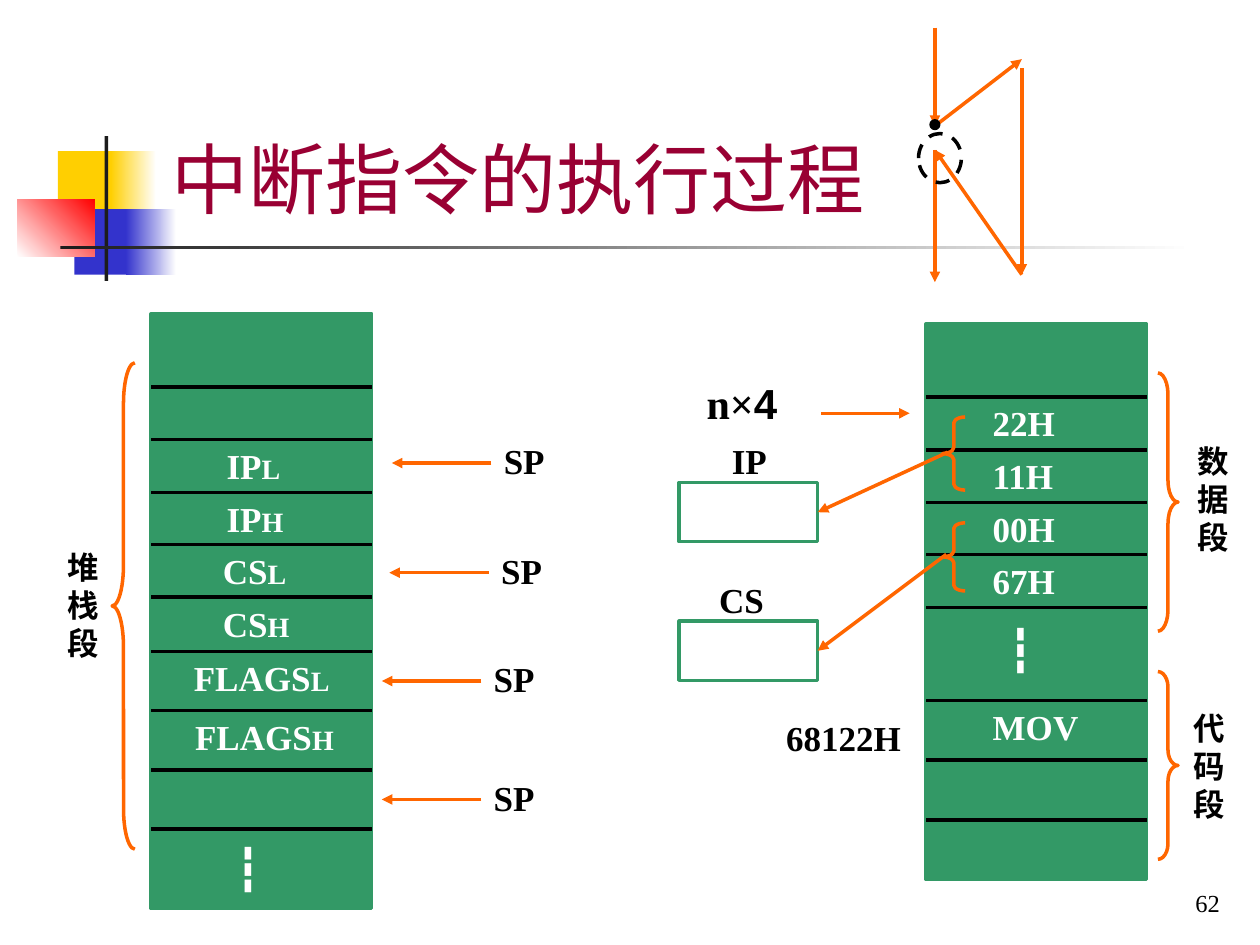
from lxml import etree
from pptx import Presentation
from pptx.dml.color import RGBColor
from pptx.enum import dml, shapes, text
from pptx.oxml import ns
from pptx.util import Inches, Pt

COLORS = {
    "white": "FFFFFF", "black": "000000", "green": "339966", "orange": "FF6600",
    "title": "990033", "yellow": "FFCF01", "blue": "3333CC", "red": "FF0000", "dark": "1C1C1C",
}
SERIF = "Times New Roman"
SHAPE = shapes.MSO_SHAPE
ALIGN = text.PP_ALIGN

DECORATION = [
    ((0.46, 1.2, 0.48, 0.52), ["yellow"], 0),
    ((0.88, 1.2, 0.36, 0.52), ["yellow", "white"], 0),
    ((0.59, 1.66, 0.46, 0.52), ["blue"], 0),
    ((1, 1.66, 0.4, 0.52), ["blue", "white"], 0),
    ((0.14, 1.58, 0.61, 0.46), ["white", "red"], 45),
    ((0.83, 1.08, 0.03, 1.15), ["dark"], 0),
    ((0.48, 1.95, 9, 0.03), ["dark", "white"], 0),
]
MEMORY_WIDTH = 1.75
MEMORIES = [
    {
        "at": (7.35, 2.57), "height": 4.41,
        "rows": [3.15, 3.57, 3.99, 4.4, 4.82, 5.56, 6.03, 6.51],
        "cells": [(7.78, 0, "22H", ""), (7.78, 1, "11H", ""), (7.78, 2, "00H", ""),
                  (7.78, 3, "67H", ""), (7.78, 5, "MOV", "")],
        "dots": (7.9, 4.9),
    },
    {
        "at": (1.2, 2.49), "height": 4.72,
        "rows": [3.07, 3.49, 3.91, 4.32, 4.74, 5.17, 5.64, 6.11, 6.58],
        "cells": [(1.7, 1, "IP", "L"), (1.7, 2, "IP", "H"), (1.67, 3, "CS", "L"),
                  (1.67, 4, "CS", "H"), (1.44, 5, "FLAGS", "L"), (1.45, 6, "FLAGS", "H")],
        "dots": (1.77, 6.64),
    },
]
BRACES = [
    (SHAPE.LEFT_BRACE, (7.48, 3.31, 0.18, 0.58)),
    (SHAPE.LEFT_BRACE, (7.48, 4.15, 0.18, 0.54)),
    (SHAPE.RIGHT_BRACE, (9.19, 5.33, 0.16, 1.49)),
    (SHAPE.RIGHT_BRACE, (9.19, 2.96, 0.16, 2.05)),
    (SHAPE.LEFT_BRACE, (0.89, 2.88, 0.18, 3.86)),
]
SEGMENTS = [(9.35, 5.58, "代码段"), (9.38, 3.46, "数据段"), (0.41, 4.3, "堆栈段")]
REGISTERS = [
    ("IP", (5.71, 3.44, 0.55, 0.44), 3.83, (7.52, 3.59)),
    ("CS", (5.61, 4.54, 0.63, 0.44), 4.93, (7.51, 4.4)),
]
STACK_POINTERS = [(3.9, 3.44), (3.88, 4.31), (3.82, 5.17), (3.82, 6.11)]
FLOW = [
    ((7.42, 0.22), (7.42, 1)),
    ((7.42, 1), (8.11, 0.47)),
    ((8.11, 0.54), (8.11, 2.18)),
    ((8.11, 2.18), (7.42, 1.19)),
    ((7.42, 1.19), (7.42, 2.24)),
]

deck = Presentation()
deck.slide_width, deck.slide_height = Inches(10), Inches(7.5)
page = deck.slides.add_slide(deck.slide_layouts[6])


def rgb(name):
    return RGBColor.from_string(COLORS[name])


def add_shape(kind, at, fills=(), line=None, angle=0):
    shape = page.shapes.add_shape(kind, *map(Inches, at))
    shape.shadow.inherit = False
    if len(fills) == 2:
        shape.fill.gradient()
        shape.fill.gradient_angle = angle
        for stop, name in zip(shape.fill.gradient_stops, fills):
            stop.color.rgb = rgb(name)
    elif fills:
        shape.fill.solid()
        shape.fill.fore_color.rgb = rgb(fills[0])
    else:
        shape.fill.background()
    if line:
        shape.line.color.rgb = rgb(line)
        shape.line.width = Pt(2)
    else:
        shape.line.fill.background()
    return shape


def add_line(start, end, color="black", arrow=False):
    line = page.shapes.add_connector(shapes.MSO_CONNECTOR.STRAIGHT, *map(Inches, start + end))
    line.line.color.rgb = rgb(color)
    line.line.width = Pt(2)
    if arrow:
        etree.SubElement(line.line._ln, ns.qn("a:tailEnd"), type="triangle")
    etree.SubElement(line._element.spPr, ns.qn("a:effectLst"))
    return line


def add_text(at, parts, color="black", bold=True, align=ALIGN.LEFT, bottom=False):
    box = page.shapes.add_textbox(*map(Inches, at))
    frame = box.text_frame
    frame.word_wrap = True
    if bottom:
        frame.vertical_anchor = text.MSO_ANCHOR.BOTTOM
    else:
        frame.auto_size = text.MSO_AUTO_SIZE.SHAPE_TO_FIT_TEXT
    para = frame.paragraphs[0]
    para.alignment = align
    for words, size, font in parts:
        span = para.add_run()
        span.text = words
        span.font.size = Pt(size)
        span.font.name = font
        span.font.bold = bold
        span.font.color.rgb = rgb(color)


for at, fills, angle in DECORATION:
    add_shape(SHAPE.RECTANGLE, at, fills, angle=angle)
add_text((1.26, 0.23, 8.52, 1.6), [("中断指令的执行过程", 44, SERIF)], "title", False, bottom=True)

for memory in MEMORIES:
    left, top = memory["at"]
    add_shape(SHAPE.RECTANGLE, (left, top, MEMORY_WIDTH, memory["height"]), ["green"], "green")
    for y in memory["rows"]:
        add_line((left, y), (left + MEMORY_WIDTH, y))
    for x, row, name, suffix in memory["cells"]:
        parts = [(name, 20, SERIF)] + ([(suffix, 16, SERIF)] if suffix else [])
        add_text((x, memory["rows"][row] - 0.01, 1.32, 0.44), parts, "white")
    add_text(memory["dots"] + (0.58, 0.5), [("┇", 24, SERIF)], "white")

for kind, at in BRACES:
    brace = add_shape(kind, at, line="orange")
    brace.adjustments[0] = at[3] / 12 / at[2]
for x, y, name in SEGMENTS:
    add_text((x, y, 0.5, 1), [(name, 18, SERIF)], align=ALIGN.CENTER)

add_text((5.51, 2.95, 1.24, 0.57), [("n×", 24, SERIF), ("4", 24, "Arial")])
add_line((6.52, 3.28), (7.22, 3.28), "orange", True)
add_text((6.14, 5.64, 1.23, 0.44), [("68122H", 20, SERIF)])

for name, label, top, source in REGISTERS:
    add_text(label, [(name, 20, SERIF)])
    register = add_shape(SHAPE.RECTANGLE, (5.39, top, 1.1, 0.47), line="green")
    arrow = add_line(source, (6.49, top + 0.235), "orange", True)
    arrow.end_connect(register, 3)

for x, y in STACK_POINTERS:
    add_text((x, y, 0.63, 0.44), [("SP", 20, SERIF)])
    add_line((x, y + 0.235), (x - 0.79, y + 0.235), "orange", True)

add_text((7.7, 6.83, 2.08, 0.5), [("62", 14, SERIF)], bold=False, align=ALIGN.RIGHT, bottom=True)

for start, end in FLOW:
    add_line(start, end, "orange", True)
ring = add_shape(SHAPE.OVAL, (7.29, 1.06, 0.34, 0.39), line="black")
ring.line.dash_style = dml.MSO_LINE.DASH
add_shape(SHAPE.OVAL, (7.39, 0.96, 0.06, 0.06), ["black"], "black")

deck.save("out.pptx")
